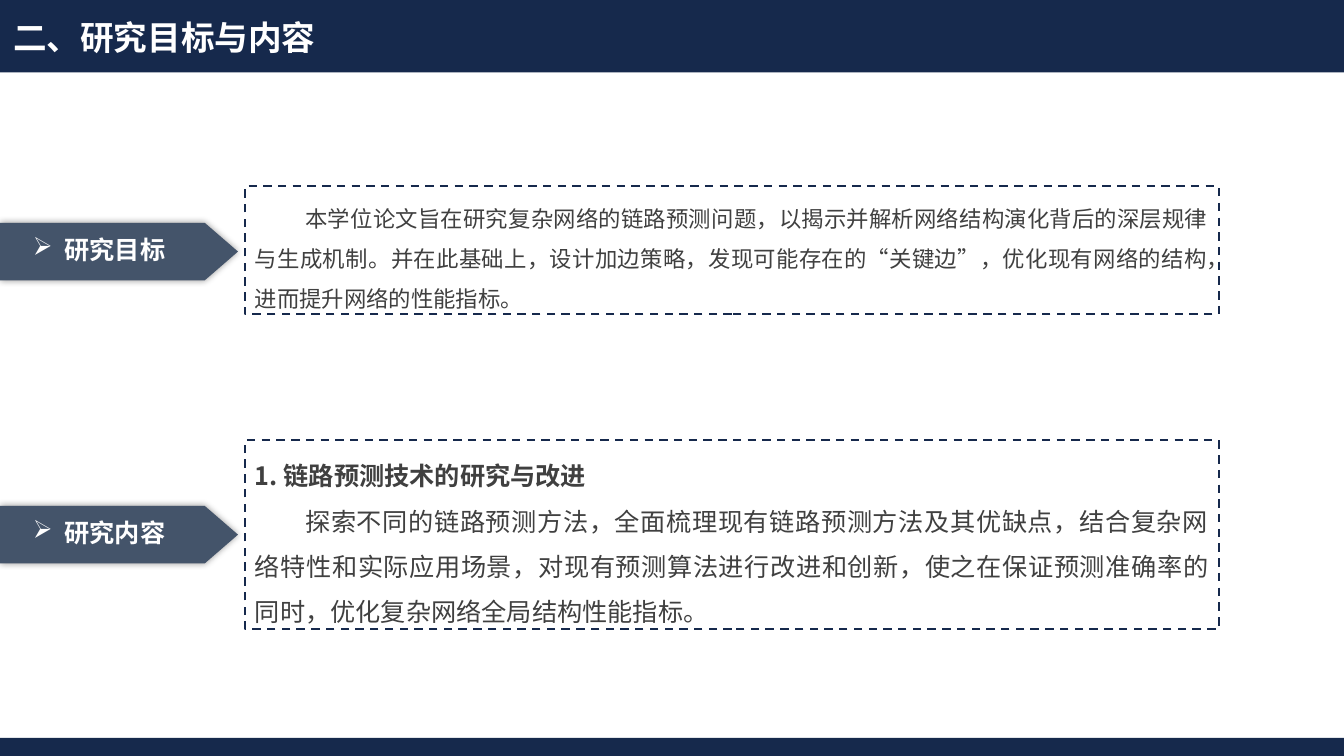
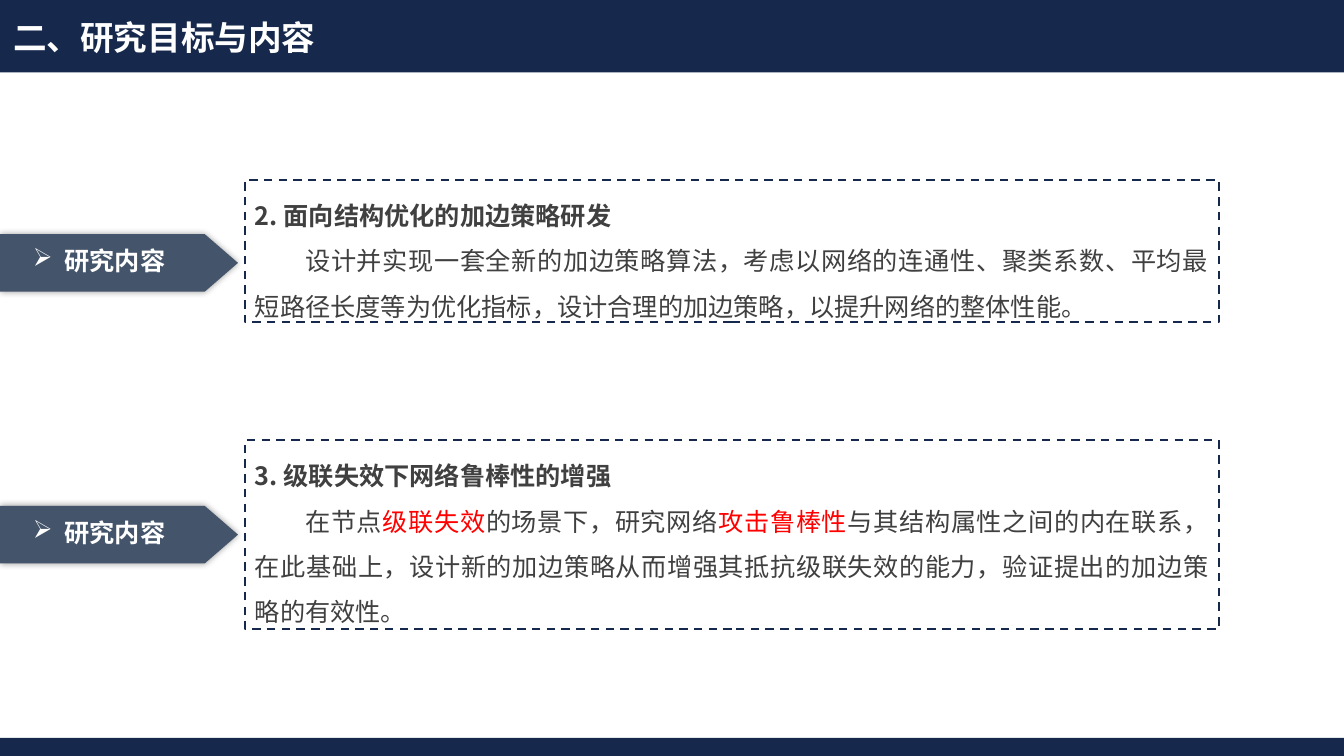
"""Build two slides on research goals and content."""
from lxml import etree
from pptx import Presentation
from pptx.dml.color import RGBColor
from pptx.enum import dml, shapes, text
from pptx.oxml import parse_xml
from pptx.oxml.ns import nsdecls, qn
from pptx.util import Pt

NAVY = RGBColor(0x16, 0x29, 0x4C)
SLATE = RGBColor(0x44, 0x54, 0x6A)
WHITE = RGBColor(0xFF, 0xFF, 0xFF)
GREY = RGBColor(0x40, 0x40, 0x40)
RED = RGBColor(0xFF, 0, 0)
FONT = "Noto Sans CJK SC"
WIDE, HIGH = 960, 540
BANDS = [(0, 51.8), (527, 13)]
BOX_X, BOX_W = 175, 695.5
TAG_W, TAG_H, TIP = 170, 41.2, 23.8
PITCH = 1.8

TITLE = "二、研究目标与内容"
SLIDES = [
    [
        dict(tag="研究目标", tag_y=159.1, top=133.2, high=91.4, size=16, head="", body=[
            ("本学位论文旨在研究复杂网络的链路预测问题，以揭示并解析网络结构演化背后的深层规律"
             "与生成机制。并在此基础上，设计加边策略，发现可能存在的“关键边”，优化现有网络的结构，"
             "进而提升网络的性能指标。", GREY)]),
        dict(tag="研究内容", tag_y=361.3, top=314.6, high=134.6, size=18,
             head="1. 链路预测技术的研究与改进", body=[
            ("探索不同的链路预测方法，全面梳理现有链路预测方法及其优缺点，结合复杂网络特性和"
             "实际应用场景，对现有预测算法进行改进和创新，使之在保证预测准确率的同时，"
             "优化复杂网络全局结构性能指标。", GREY)]),
    ],
    [
        dict(tag="研究内容", tag_y=167.2, top=128.7, high=101.5, size=18,
             head="2. 面向结构优化的加边策略研发", body=[
            ("设计并实现一套全新的加边策略算法，考虑以网络的连通性、聚类系数、平均最短路径长度等"
             "为优化指标，设计合理的加边策略，以提升网络的整体性能。", GREY)]),
        dict(tag="研究内容", tag_y=361.3, top=314.6, high=134.6, size=18,
             head="3. 级联失效下网络鲁棒性的增强", body=[
            ("在节点", GREY), ("级联失效", RED), ("的场景下，研究网络", GREY),
            ("攻击鲁棒性", RED),
            ("与其结构属性之间的内在联系，在此基础上，设计新的加边策略从而增强其抵抗级联失效的能力，"
             "验证提出的加边策略的有效性。", GREY)]),
    ],
]


def add_run(para, words, size, color, bold=False):
    run = para.add_run()
    run.text = words
    font = run.font
    font.name, font.size, font.bold = FONT, Pt(size), bold
    font.color.rgb = color
    east = etree.SubElement(run._r.get_or_add_rPr(), qn("a:ea"))
    east.set("typeface", FONT)


def add_block(slide, kind, left, top, wide, high, fill=None):
    block = slide.shapes.add_shape(kind, Pt(left), Pt(top), Pt(wide), Pt(high))
    block.shadow.inherit = False
    block.line.fill.background()
    if fill is None:
        block.fill.background()
    else:
        block.fill.solid()
        block.fill.fore_color.rgb = fill
    return block


def add_bands(slide, layout):
    for row, (top, high) in enumerate(BANDS):
        band = add_block(slide, shapes.MSO_SHAPE.RECTANGLE, 0, top, WIDE, high, NAVY)
        layout.shapes.element.insert(2 + row, band.element)


def set_title(slide):
    title = slide.shapes.title
    title.left, title.top, title.width, title.height = Pt(0), Pt(8.6), Pt(240), Pt(36)
    frame = title.text_frame
    frame.auto_size = text.MSO_AUTO_SIZE.NONE
    frame.word_wrap = False
    frame.margin_left = Pt(9.4)
    frame.vertical_anchor = text.MSO_ANCHOR.MIDDLE
    para = frame.paragraphs[0]
    para.alignment = text.PP_ALIGN.LEFT
    add_run(para, TITLE, 24, WHITE, True)


def add_tag(slide, label, top):
    tag = add_block(slide, shapes.MSO_SHAPE.PENTAGON, 0, top, TAG_W, TAG_H, SLATE)
    tag.adjustments[0] = TIP / TAG_H
    glow = tag.element.spPr.find(qn("a:effectLst"))
    glow.append(parse_xml(
        f'<a:outerShdw {nsdecls("a")} blurRad="{Pt(5)}" dist="0" dir="0" algn="ctr" '
        'rotWithShape="0"><a:srgbClr val="000000"><a:alpha val="40000"/>'
        '</a:srgbClr></a:outerShdw>'))
    frame = tag.text_frame
    frame.word_wrap = False
    frame.margin_left, frame.margin_right = Pt(23.5), Pt(0)
    frame.margin_top, frame.margin_bottom = Pt(0), Pt(3)
    frame.vertical_anchor = text.MSO_ANCHOR.MIDDLE
    para = frame.paragraphs[0]
    para.alignment = text.PP_ALIGN.LEFT
    props = para._p.get_or_add_pPr()
    props.set("marL", str(Pt(22.5)))
    props.set("indent", str(-Pt(22.5)))
    etree.SubElement(props, qn("a:buChar")).set("char", "➢")
    add_run(para, label, 18, WHITE, True)


def add_note(slide, item):
    box = add_block(slide, shapes.MSO_SHAPE.RECTANGLE, BOX_X, item["top"], BOX_W, item["high"])
    box.line.color.rgb = NAVY
    box.line.width = Pt(1.5)
    box.line.dash_style = dml.MSO_LINE.DASH
    frame = box.text_frame
    frame.word_wrap = True
    frame.vertical_anchor = text.MSO_ANCHOR.TOP
    size = item["size"]
    para = frame.paragraphs[0]
    if item["head"]:
        add_run(para, item["head"], size, GREY, True)
        para = frame.add_paragraph()
    para._p.get_or_add_pPr().set("indent", str(Pt(36)))
    for words, color in item["body"]:
        add_run(para, words, size, color)
    for para in frame.paragraphs:
        para.alignment = text.PP_ALIGN.JUSTIFY
        para.line_spacing = Pt(size * PITCH)


def main():
    deck = Presentation()
    deck.slide_width, deck.slide_height = Pt(WIDE), Pt(HIGH)
    layout = deck.slide_layouts[5]
    for page, items in enumerate(SLIDES):
        slide = deck.slides.add_slide(layout)
        if page == 0:
            add_bands(slide, layout)
        set_title(slide)
        for item in items:
            add_tag(slide, item["tag"], item["tag_y"])
            add_note(slide, item)
    deck.save("out.pptx")


if __name__ == "__main__":
    main()
